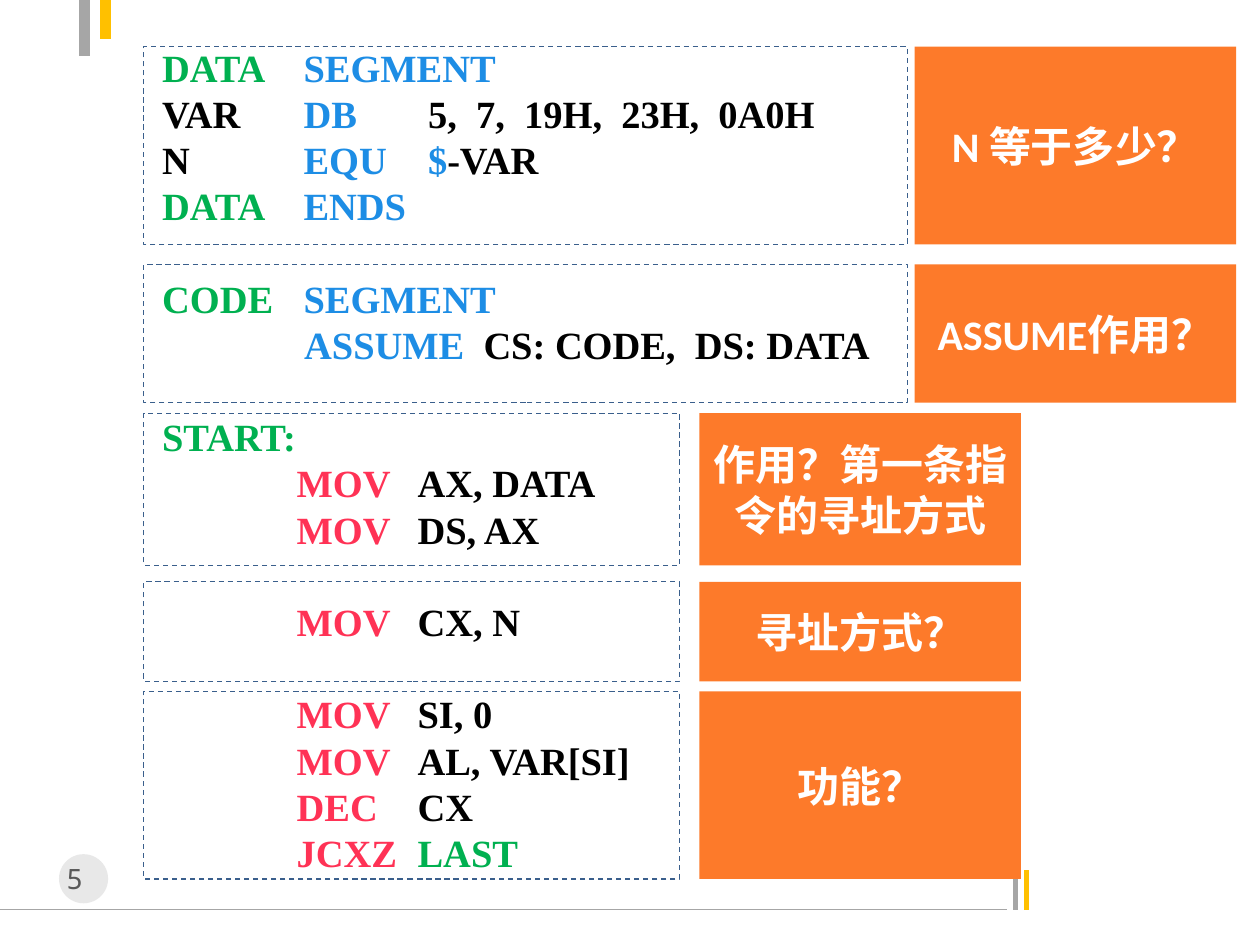
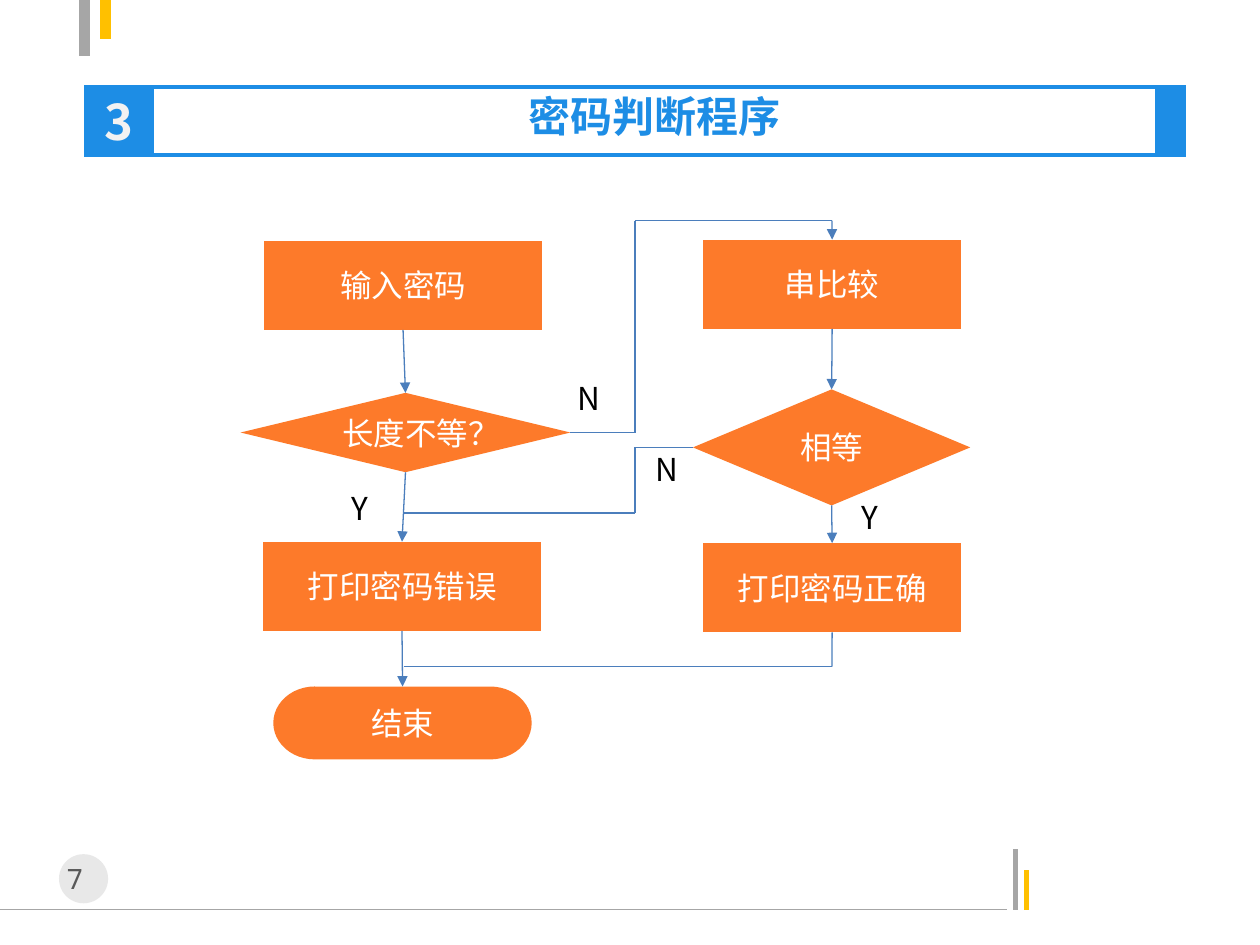
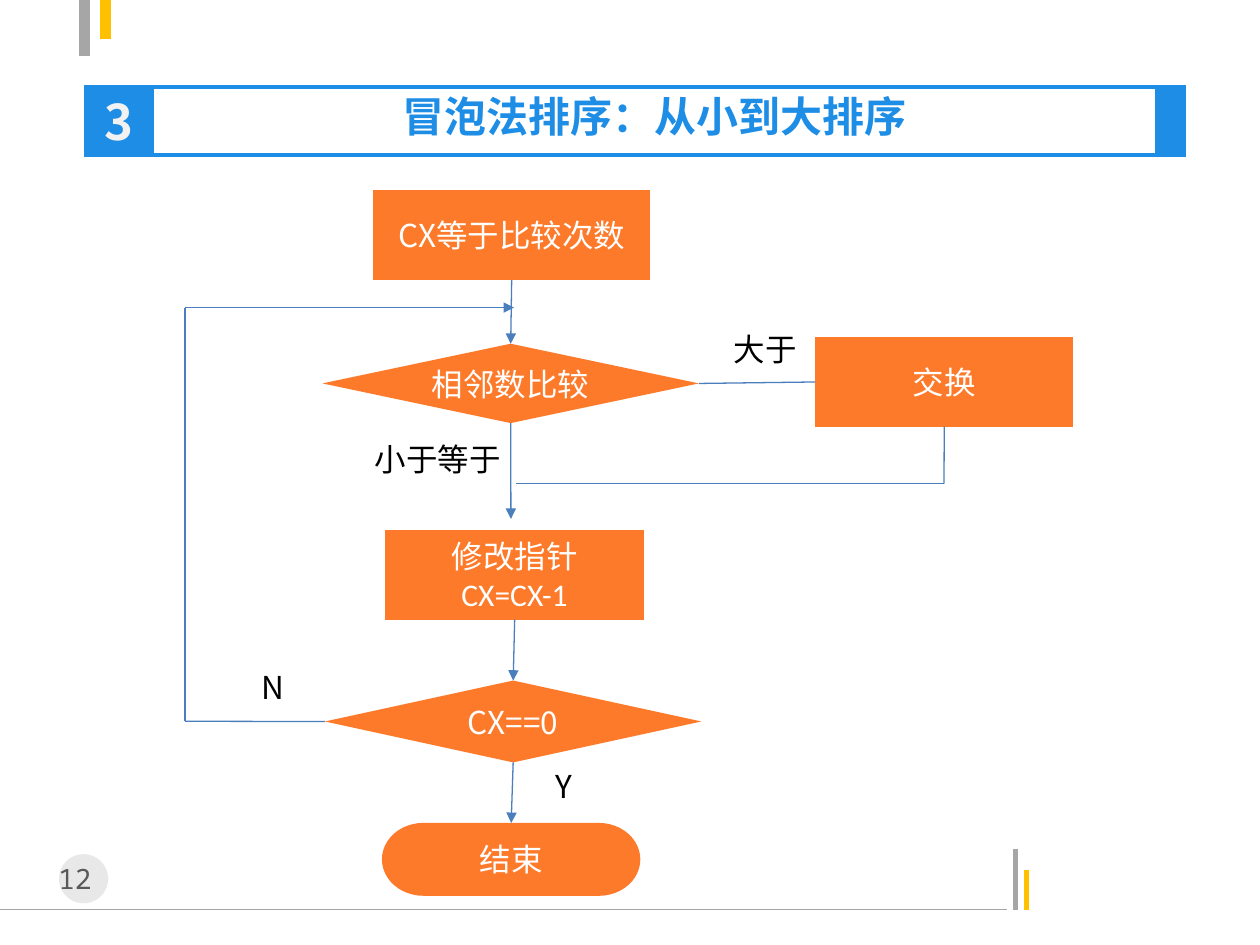
from dataclasses import dataclass
from itertools import pairwise

from lxml import etree
from pptx import Presentation
from pptx import util as u
from pptx.dml import color
from pptx.enum import dml, shapes, text
from pptx.oxml import ns


@dataclass(frozen=True)
class Theme:
    blue: str = "1D8DE5"
    orange: str = "FD7A2A"
    green: str = "00B050"
    red: str = "FF3255"
    yellow: str = "FFC000"
    grey: str = "A6A6A6"
    disc: str = "BFBFBF"
    number: str = "595959"
    frame: str = "3A5F8C"
    arrow: str = "4B7EBC"
    black: str = "000000"
    white: str = "FFFFFF"
    pale: str = "F2F2F2"
    sans: str = "Noto Sans CJK SC"
    latin: str = "Calibri"
    mono: str = "Noto Sans Mono"
    serif: str = "Times New Roman"
    page_size: float = 16
    flow_size: float = 18
    code_size: float = 22
    code_pitch: float = 26.4
    title_size: float = 24
    badge_size: float = 28


THEME = Theme()
TOP, LEFT, BOTTOM, RIGHT = range(4)
PROCESS = shapes.MSO_SHAPE.FLOWCHART_PROCESS
DECISION = shapes.MSO_SHAPE.FLOWCHART_DECISION
TERMINATOR = shapes.MSO_SHAPE.FLOWCHART_TERMINATOR
MOV = (" " * 14 + "MOV", THEME.red)

DATA_STOPS = (2.85, 5.36)
STEP_STOPS = (5.15,)
PROGRAM = [
    (DATA_STOPS, [
        [("DATA", THEME.green), ("\tSEGMENT", THEME.blue)],
        [("VAR", THEME.black), ("\tDB", THEME.blue), ("\t5,  7,  19H,  23H,  0A0H", THEME.black)],
        [("N", THEME.black), ("\tEQU\t$", THEME.blue), ("-VAR", THEME.black)],
        [("DATA", THEME.green), ("\tENDS", THEME.blue)],
    ]),
    (DATA_STOPS, [
        [("CODE", THEME.green), ("\tSEGMENT", THEME.blue)],
        [(" " * 15 + "ASSUME", THEME.blue), ("  CS: CODE,  DS: DATA", THEME.black)],
    ]),
    (STEP_STOPS, [
        [("START:", THEME.green)],
        [MOV, ("\tAX, DATA", THEME.black)],
        [MOV, ("\tDS, AX", THEME.black)],
    ]),
    (STEP_STOPS, [[MOV, ("\tCX, N", THEME.black)]]),
    (STEP_STOPS, [
        [MOV, ("\tSI, 0", THEME.black)],
        [MOV, ("\tAL, VAR[SI]", THEME.black)],
        [(" " * 14 + "DEC", THEME.red), ("\tCX", THEME.black)],
        [(" " * 14 + "JCXZ", THEME.red), ("\tLAST", THEME.green)],
    ]),
]

QUESTIONS = [
    ("N 等于多少？", 0.94, 3.99, 15.39, 18.44),
    ("ASSUME作用？", 5.33, 2.79, 15.39, 18.44),
    ("作用？第一条指令的寻址方式", 8.33, 3.07, 10.8, 14.1),
    ("寻址方式？", 11.73, 2.01, 10.8, 14.1),
    ("功能？", 13.94, 3.78, 10.8, 14.1),
]


def rgb(value):
    return color.RGBColor.from_string(value)


def place(*lengths):
    return [u.Cm(length) for length in lengths]


def write(para, words, *, size, tint, font=THEME.sans, bold=False, align=None):
    span = para.add_run()
    span.text = words
    span.font.size = u.Pt(size)
    span.font.bold = bold
    span.font.color.rgb = rgb(tint)
    span.font.name = font
    east = etree.SubElement(span.font._element, ns.qn("a:ea"))
    east.set("typeface", THEME.sans)
    if align is not None:
        para.alignment = align


class Builder:
    def __init__(self, theme):
        self.theme = theme
        self.deck = Presentation()
        self.deck.slide_width, self.deck.slide_height = place(25.4, 19.05)
        self.page = None

    def new_page(self, number, title=None):
        self.page = self.deck.slides.add_slide(self.deck.slide_layouts[5 if title else 6])
        self.furniture(number)
        if title:
            self.header(title)

    def furniture(self, number):
        theme = self.theme
        for start, end, tint, width in [
            ((0, 18.34), (20.29, 18.34), theme.grey, 0.75),
            ((20.47, 18.34), (20.47, 17.12), theme.grey, 3),
            ((20.7, 18.34), (20.7, 17.53), theme.yellow, 3),
            ((1.7, 0), (1.7, 1.12), theme.grey, 6),
            ((2.13, 0), (2.13, 0.79), theme.yellow, 6),
        ]:
            self.line(start, end, tint=tint, width=width)
        disc = self.box(shapes.MSO_SHAPE.OVAL, (1.19, 17.22, 0.99, 0.99), fill=theme.disc)
        tone = disc.fill._xPr.find(".//" + ns.qn("a:srgbClr"))
        etree.SubElement(tone, ns.qn("a:alpha")).set("val", "35000")
        self.label(number, 0.61, 17.25, 1.8, size=theme.page_size, tint=theme.number, font=theme.mono)

    def header(self, title):
        theme = self.theme
        heading = self.page.shapes.title
        heading.left, heading.top, heading.width, heading.height = place(3.1, 1.7, 20.17, 1.27)
        frame = heading.text_frame
        frame.auto_size = text.MSO_AUTO_SIZE.NONE
        frame.vertical_anchor = text.MSO_ANCHOR.MIDDLE
        write(frame.paragraphs[0], title, size=theme.title_size, tint=theme.blue,
              bold=True, align=text.PP_ALIGN.CENTER)
        for top in (1.75, 3.12):
            self.line((1.7, top), (23.9, top), tint=theme.blue, width=2.25)
        badge = self.box(shapes.MSO_SHAPE.RECTANGLE, (1.7, 1.75, 1.4, 1.37),
                         fill=theme.blue, outline=theme.blue)
        self.caption(badge, "3", size=theme.badge_size, tint=theme.pale, bold=True)
        self.box(shapes.MSO_SHAPE.RECTANGLE, (23.29, 1.75, 0.61, 1.37),
                 fill=theme.blue, outline=theme.blue)

    def box(self, kind, bounds, fill=None, outline=None, dashed=False):
        box = self.page.shapes.add_shape(kind, *place(*bounds))
        box.shadow.inherit = False
        if fill:
            box.fill.solid()
            box.fill.fore_color.rgb = rgb(fill)
        else:
            box.fill.background()
        if outline:
            box.line.color.rgb = rgb(outline)
            box.line.width = u.Pt(0.75)
        else:
            box.line.fill.background()
        if dashed:
            box.line.dash_style = dml.MSO_LINE.DASH
        return box

    def caption(self, box, *rows, font=THEME.sans, **style):
        frame = box.text_frame
        frame.word_wrap = True
        frame.vertical_anchor = text.MSO_ANCHOR.MIDDLE
        for index, words in enumerate(rows):
            para = frame.add_paragraph() if index else frame.paragraphs[0]
            write(para, words, font=self.theme.latin if index else font,
                  align=text.PP_ALIGN.CENTER, **style)

    def node(self, kind, bounds, *rows, font=THEME.sans):
        box = self.box(kind, bounds, fill=self.theme.orange)
        self.caption(box, *rows, font=font, size=self.theme.flow_size, tint=self.theme.white)
        return box

    def label(self, words, left, top, width, size=THEME.flow_size, tint=THEME.black, font=THEME.sans):
        box = self.page.shapes.add_textbox(*place(left, top, width, 1.02))
        box.text_frame.word_wrap = False
        write(box.text_frame.paragraphs[0], words, size=size, tint=tint, font=font,
              align=text.PP_ALIGN.CENTER)

    def line(self, start, end, tint=THEME.arrow, width=0.75, arrow=False):
        joins = [isinstance(point[0], (int, float)) for point in (start, end)]
        spots = [point if free else (0, 0) for point, free in zip((start, end), joins)]
        link = self.page.shapes.add_connector(shapes.MSO_CONNECTOR.STRAIGHT, *place(*spots[0], *spots[1]))
        if not joins[0]:
            link.begin_connect(*start)
        if not joins[1]:
            link.end_connect(*end)
        link.line.color.rgb = rgb(tint)
        link.line.width = u.Pt(width)
        if arrow:
            tail = etree.SubElement(link.line._get_or_add_ln(), ns.qn("a:tailEnd"))
            tail.set("type", "triangle")
        etree.SubElement(link._element.spPr, ns.qn("a:effectLst"))

    def route(self, *points, arrow=True):
        legs = list(pairwise(points))
        for index, (start, end) in enumerate(legs, 1):
            self.line(start, end, arrow=arrow and index == len(legs))

    def code(self, bounds, blocks):
        theme = self.theme
        frame = self.page.shapes.add_textbox(*place(*bounds)).text_frame
        frame.word_wrap = True
        para = frame.paragraphs[0]
        for block, (stops, rows) in enumerate(blocks):
            for row, spans in enumerate(rows):
                if block or row:
                    para = frame.add_paragraph()
                tabs = etree.SubElement(para._p.get_or_add_pPr(), ns.qn("a:tabLst"))
                for stop in stops:
                    tab = etree.SubElement(tabs, ns.qn("a:tab"))
                    tab.set("pos", str(u.Cm(stop)))
                    tab.set("algn", "l")
                para.line_spacing = u.Pt(theme.code_pitch)
                if block and not row:
                    para.space_before = u.Pt(theme.code_pitch)
                for words, tint in spans:
                    write(para, words, size=theme.code_size, tint=tint, font=theme.serif, bold=True)


def program_page(build):
    theme = build.theme
    build.new_page("5")
    build.code((3.02, 0.76, 15.27, 17.2), PROGRAM)
    for question, top, height, width, left in QUESTIONS:
        build.box(shapes.MSO_SHAPE.RECTANGLE, (2.9, top, width, height),
                  outline=theme.frame, dashed=True)
        card = build.box(shapes.MSO_SHAPE.RECTANGLE, (left, top, 6.48, height), fill=theme.orange)
        build.caption(card, question, font=theme.latin, size=theme.title_size,
                      tint=theme.white, bold=True)


def password_page(build):
    latin = build.theme.latin
    build.new_page("7", "密码判断程序")
    enter = build.node(PROCESS, (5.33, 4.85, 5.59, 1.8), "输入密码")
    length = build.node(DECISION, (4.85, 7.92, 6.65, 1.6), "长度不等？", font=latin)
    wrong = build.node(PROCESS, (5.31, 10.92, 5.59, 1.8), "打印密码错误")
    finish = build.node(TERMINATOR, (5.51, 13.84, 5.21, 1.47), "结束", font=latin)
    compare = build.node(PROCESS, (14.17, 4.83, 5.21, 1.8), "串比较")
    equal = build.node(DECISION, (13.97, 7.85, 5.59, 2.34), "相等", font=latin)
    correct = build.node(PROCESS, (14.17, 10.95, 5.21, 1.8), "打印密码正确")
    for upper, lower in [*pairwise((enter, length, wrong, finish)), *pairwise((compare, equal, correct))]:
        build.route((upper, BOTTOM), (lower, TOP))
    build.route((length, RIGHT), (12.8, 8.72), (12.8, 4.45), (16.77, 4.45), (compare, TOP))
    build.route((equal, LEFT), (12.8, 9.02), (12.8, 10.34), (8.15, 10.34), arrow=False)
    build.route((correct, BOTTOM), (16.77, 13.44), (8.15, 13.44), arrow=False)
    build.label("N", 11.35, 7.52, 1.04)
    build.label("Y", 6.81, 9.73, 0.89)
    build.label("N", 12.93, 8.94, 1.04)
    build.label("Y", 17.09, 9.91, 0.89)


def sorting_page(build):
    build.new_page("12", "冒泡法排序：从小到大排序")
    count = build.node(PROCESS, (7.52, 3.84, 5.59, 1.8), "CX等于比较次数")
    compare = build.node(DECISION, (6.5, 6.93, 7.59, 1.6), "相邻数比较")
    swap = build.node(PROCESS, (16.43, 6.8, 5.21, 1.8), "交换")
    advance = build.node(PROCESS, (7.77, 10.69, 5.21, 1.8), "修改指针", "CX=CX-1")
    check = build.node(DECISION, (6.55, 13.72, 7.59, 1.65), "CX==0")
    finish = build.node(TERMINATOR, (7.7, 16.59, 5.21, 1.47), "结束", font=build.theme.latin)
    for upper, lower in [(count, compare), (advance, check), (check, finish)]:
        build.route((upper, BOTTOM), (lower, TOP))
    build.route((compare, BOTTOM), (10.3, 10.46))
    build.route((compare, RIGHT), (swap, LEFT), arrow=False)
    build.route((swap, BOTTOM), (19.03, 9.75), (10.41, 9.75), arrow=False)
    build.route((check, LEFT), (3.73, 14.54), (3.73, 6.2), (10.36, 6.2))
    build.label("大于", 13.56, 6.53, 3.73)
    build.label("小于等于", 7.29, 8.74, 3.07)
    build.label("N", 4.98, 13.34, 1.04)
    build.label("Y", 10.92, 15.34, 0.89)


def main():
    build = Builder(THEME)
    program_page(build)
    password_page(build)
    sorting_page(build)
    build.deck.save("out.pptx")


if __name__ == "__main__":
    main()
